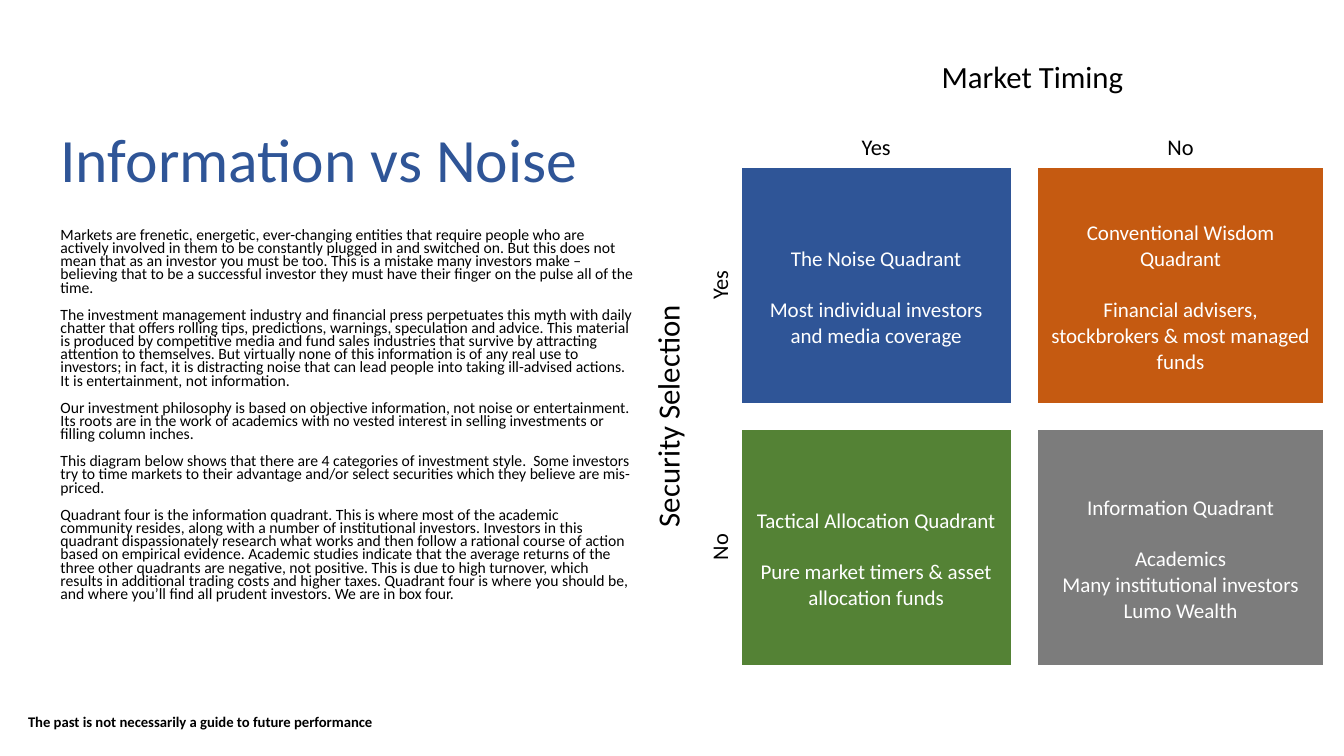
from lxml.etree import SubElement
from pptx import Presentation
from pptx.dml.color import RGBColor
from pptx.enum.text import MSO_ANCHOR, MSO_AUTO_SIZE, PP_ALIGN
from pptx.oxml.ns import qn
from pptx.util import Inches, Pt

BLACK = RGBColor(0x00, 0x00, 0x00)
WHITE = RGBColor(0xFF, 0xFF, 0xFF)
BLUE = RGBColor(0x2F, 0x55, 0x97)
ORANGE = RGBColor(0xC5, 0x5A, 0x11)
GREEN = RGBColor(0x54, 0x82, 0x35)
GRAY = RGBColor(0x7C, 0x7C, 0x7C)

# The answer column is wide enough for a rotated 16 point line.
COLUMN_WIDTHS = [0.6, 0.36, 2.68, 0.24, 2.84]
ROW_HEIGHTS = [0.63, 0.5, 2.34, 0.26, 2.34]

ARTICLE = [
    "Markets are frenetic, energetic, ever-changing entities that require people who are "
    "actively involved in them to be constantly plugged in and switched on. But this does not "
    "mean that as an investor you must be too. This is a mistake many investors make – "
    "believing that to be a successful investor they must have their finger on the pulse all "
    "of the time.",
    "The investment management industry and financial press perpetuates this myth with daily "
    "chatter that offers rolling tips, predictions, warnings, speculation and advice. This "
    "material is produced by competitive media and fund sales industries that survive by "
    "attracting attention to themselves. But virtually none of this information is of any real "
    "use to investors; in fact, it is distracting noise that can lead people into taking "
    "ill-advised actions. It is entertainment, not information.",
    "Our investment philosophy is based on objective information, not noise or entertainment. "
    "Its roots are in the work of academics with no vested interest in selling investments or "
    "filling column inches.",
    "This diagram below shows that there are 4 categories of investment style.  Some investors "
    "try to time markets to their advantage and/or select securities which they believe are "
    "mis-priced.",
    "Quadrant four is the information quadrant. This is where most of the academic community "
    "resides, along with a number of institutional investors. Investors in this quadrant "
    "dispassionately research what works and then follow a rational course of action based on "
    "empirical evidence. Academic studies indicate that the average returns of the three other "
    "quadrants are negative, not positive. This is due to high turnover, which results in "
    "additional trading costs and higher taxes. Quadrant four is where you should be, and where "
    "you’ll find all prudent investors. We are in box four.",
]

# row, column, fill, heading, followers
QUADRANTS = [
    (2, 2, BLUE, "The Noise Quadrant",
     ["Most individual investors and media coverage"]),
    (2, 4, ORANGE, "Conventional Wisdom Quadrant",
     ["Financial advisers, stockbrokers & most managed funds"]),
    (4, 2, GREEN, "Tactical Allocation Quadrant",
     ["Pure market timers & asset allocation funds"]),
    (4, 4, GRAY, "Information Quadrant",
     ["Academics", "Many institutional investors", "Lumo Wealth"]),
]


def write(frame, lines, size, color=BLACK, bold=False, align=PP_ALIGN.LEFT,
          line_spacing=1.0, gap=0):
    """Fill a text frame with one paragraph a line, gap points apart."""
    for index, line in enumerate(lines):
        para = frame.paragraphs[0] if index == 0 else frame.add_paragraph()
        para.alignment = align
        para.line_spacing = line_spacing
        para.space_before = Pt(gap if index else 0)
        span = para.add_run()
        span.text = line
        span.font.name = "Calibri"
        span.font.size = Pt(size)
        span.font.bold = bold
        span.font.color.rgb = color


def place(shape, left, top, width, height):
    shape.left, shape.top = Inches(left), Inches(top)
    shape.width, shape.height = Inches(width), Inches(height)


def add_title(page):
    title = page.shapes.title
    place(title, 0.5, 0.7, 7.2, 1.83)
    title.text_frame.vertical_anchor = MSO_ANCHOR.MIDDLE
    write(title.text_frame, ["Information vs Noise"], 44, color=BLUE, line_spacing=0.9)


def add_article(page):
    body = page.placeholders[1]
    place(body, 0.5, 2.23, 5.88, 4.37)
    frame = body.text_frame
    frame.auto_size = MSO_AUTO_SIZE.NONE
    frame.vertical_anchor = MSO_ANCHOR.TOP
    write(frame, ARTICLE, 11.2, line_spacing=0.7, gap=10)
    for para in frame.paragraphs:
        properties = para._p.get_or_add_pPr()
        properties.set("marL", "0")
        properties.set("indent", "0")
        SubElement(properties, qn("a:buNone"))


def set_margins(cell, side, top, bottom):
    cell.margin_left = cell.margin_right = Inches(side)
    cell.margin_top, cell.margin_bottom = Inches(top), Inches(bottom)


def clear_cell(cell):
    """Make an empty cell transparent and too small to stretch its row."""
    cell.fill.background()
    set_margins(cell, 0.11, 0.06, 0.06)
    SubElement(cell.text_frame.paragraphs[0]._p, qn("a:endParaRPr"), sz="600")


def label_cell(cell, text, size, anchor=MSO_ANCHOR.BOTTOM, upward=False):
    cell.vertical_anchor = anchor
    write(cell.text_frame, [text], size, align=PP_ALIGN.CENTER)
    if upward:
        cell._tc.get_or_add_tcPr().set("vert", "vert270")


def fill_quadrant(cell, color, heading, followers):
    cell.fill.solid()
    cell.fill.fore_color.rgb = color
    cell.vertical_anchor = MSO_ANCHOR.MIDDLE
    set_margins(cell, 0.11, 0.31, 0.06)
    write(cell.text_frame, [heading, *followers], 15, color=WHITE, align=PP_ALIGN.CENTER)
    cell.text_frame.paragraphs[0].space_after = Pt(18)


def add_matrix(page):
    frame = page.shapes.add_table(
        len(ROW_HEIGHTS), len(COLUMN_WIDTHS), Inches(6.39), Inches(0.53),
        Inches(sum(COLUMN_WIDTHS)), Inches(sum(ROW_HEIGHTS)))
    table = frame.table
    table.first_row = table.horz_banding = False
    for column, width in zip(table.columns, COLUMN_WIDTHS):
        column.width = Inches(width)
    for row, height in zip(table.rows, ROW_HEIGHTS):
        row.height = Inches(height)
    for cell in table.iter_cells():
        clear_cell(cell)

    table.cell(0, 2).merge(table.cell(0, 4))
    table.cell(2, 0).merge(table.cell(4, 0))
    label_cell(table.cell(0, 2), "Market Timing", 22, anchor=MSO_ANCHOR.TOP)
    label_cell(table.cell(2, 0), "Security Selection", 22, anchor=MSO_ANCHOR.TOP, upward=True)
    for position, answer in ((2, "Yes"), (4, "No")):
        label_cell(table.cell(1, position), answer, 16)
        row_label = table.cell(position, 1)
        label_cell(row_label, answer, 16, upward=True)
        set_margins(row_label, 0.02, 0.02, 0.02)
    for row, column, color, heading, followers in QUADRANTS:
        fill_quadrant(table.cell(row, column), color, heading, followers)


def add_disclaimer(page):
    box = page.shapes.add_textbox(Inches(0.18), Inches(7.02), Inches(3.77), Inches(0.28))
    box.text_frame.word_wrap = True
    write(box.text_frame, ["The past is not necessarily a guide to future performance"],
          10.5, bold=True)


def main():
    deck = Presentation()
    deck.slide_width, deck.slide_height = Inches(13.33), Inches(7.5)
    page = deck.slides.add_slide(deck.slide_layouts[1])
    add_article(page)
    add_matrix(page)
    add_title(page)
    add_disclaimer(page)
    deck.save("out.pptx")


if __name__ == "__main__":
    main()
